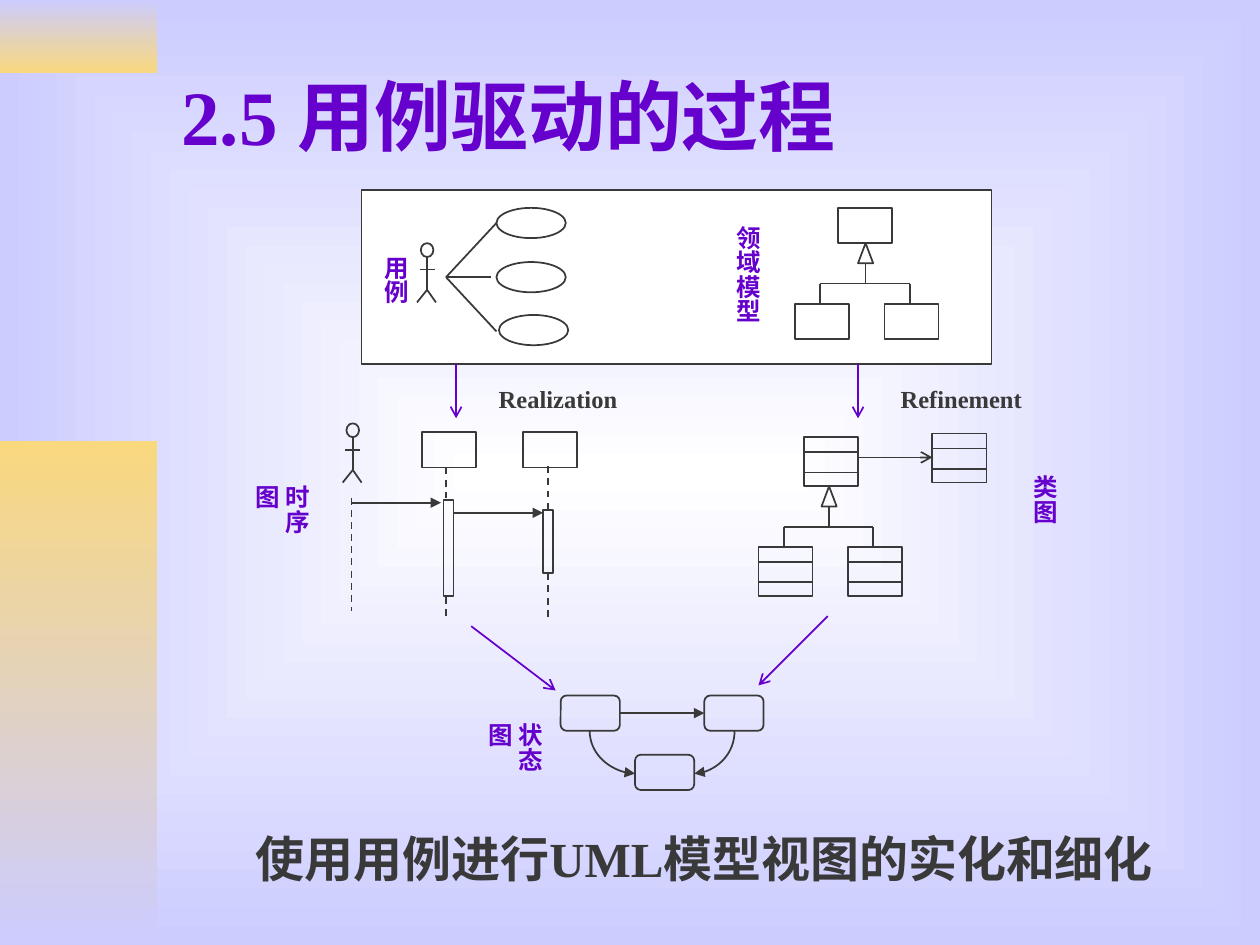
from lxml import etree
from pptx import Presentation
from pptx.dml.color import RGBColor
from pptx.enum.dml import MSO_LINE
from pptx.enum.shapes import MSO_CONNECTOR, MSO_SHAPE
from pptx.enum.text import MSO_ANCHOR, MSO_AUTO_SIZE, PP_ALIGN
from pptx.oxml.ns import qn
from pptx.util import Inches, Pt

RECT = MSO_SHAPE.RECTANGLE
OVAL = MSO_SHAPE.OVAL
ROUND = MSO_SHAPE.ROUNDED_RECTANGLE
PEAK = MSO_SHAPE.ISOSCELES_TRIANGLE
STRAIGHT = MSO_CONNECTOR.STRAIGHT
DASH = MSO_LINE.DASH
FIT = MSO_AUTO_SIZE.SHAPE_TO_FIT_TEXT
NONE = MSO_AUTO_SIZE.NONE

theme = {
    "ink": RGBColor.from_string("393939"),
    "accent": RGBColor.from_string("6600CC"),
    "white": RGBColor.from_string("FFFFFF"),
    "lilac": RGBColor.from_string("CCCCFF"),
    "gold": RGBColor.from_string("F9D87E"),
    "font": "Times New Roman",
    "title": Pt(44),
    "body": Pt(28),
    "label": Pt(14),
    "line": Pt(1),
}

deck = Presentation()
deck.slide_width = Inches(10)
deck.slide_height = Inches(7.5)
slide = deck.slides.add_slide(deck.slide_layouts[5])
shapes = slide.shapes


def box(kind, x, y, w, h):
    shape = shapes.add_shape(kind, Inches(x), Inches(y), Inches(w), Inches(h))
    shape.shadow.inherit = False
    shape.fill.background()
    shape.line.color.rgb = theme["ink"]
    shape.line.width = theme["line"]
    return shape


def line(x1, y1, x2, y2, head=None, color="ink", dash=None):
    link = shapes.add_connector(STRAIGHT, Inches(x1), Inches(y1), Inches(x2), Inches(y2))
    link.line.color.rgb = theme[color]
    link.line.width = theme["line"]
    if dash:
        link.line.dash_style = dash
    if head:
        etree.SubElement(link.line._get_or_add_ln(), qn("a:tailEnd"), type=head)
    etree.SubElement(link._element.spPr, qn("a:effectLst"))
    return link


back = slide.background.fill
back.gradient()
for stop, color in zip(back.gradient_stops, ("white", "lilac")):
    stop.color.rgb = theme[color]
grad = slide.element.find(".//" + qn("a:gradFill"))
ray = etree.Element(qn("a:path"), path="rect")
etree.SubElement(ray, qn("a:fillToRect"), l="50000", t="50000", r="50000", b="50000")
grad.replace(grad.find(qn("a:lin")), ray)

for y, h, colors in ((0, 0.58, ("lilac", "gold")), (3.5, 4, ("gold", "lilac"))):
    band = box(RECT, 0, y, 1.25, h)
    band.line.fill.background()
    band.fill.gradient()
    band.fill.gradient_angle = 270
    for stop, color in zip(band.fill.gradient_stops, colors):
        stop.color.rgb = theme[color]

title = shapes.title
title.left, title.top = Inches(1.34), Inches(0.25)
title.width, title.height = Inches(8.5), Inches(1.32)
title.text_frame.text = "2.5 用例驱动的过程"
title.text_frame.vertical_anchor = MSO_ANCHOR.MIDDLE
head = title.text_frame.paragraphs[0]
head.alignment = PP_ALIGN.LEFT
head.font.name = theme["font"]
head.font.size = theme["title"]
head.font.bold = True
head.font.color.rgb = theme["accent"]

panel = box(RECT, 2.87, 1.51, 5, 1.38)
panel.fill.solid()
panel.fill.fore_color.rgb = theme["white"]

for x, y in ((6.65, 1.65), (6.31, 2.41), (7.02, 2.41), (3.35, 3.43), (4.15, 3.43)):
    box(RECT, x, y, 0.43, 0.28)

for x, y in ((6.51, 2.25), (6.22, 4.18)):
    line(x, y, x, y + 0.16)
    line(x + 0.71, y, x + 0.71, y + 0.16)
    line(x, y, x + 0.71, y)
    box(PEAK, x + 0.3, y - 0.32, 0.12, 0.16)
    line(x + 0.36, y - 0.16, x + 0.36, y)

for x, y in ((3.39, 1.93), (2.8, 3.36)):
    box(OVAL, x - 0.05, y, 0.1, 0.11)
    line(x - 0.06, y + 0.21, x + 0.06, y + 0.21)
    line(x, y + 0.11, x, y + 0.37)
    line(x, y + 0.37, x - 0.08, y + 0.47)
    line(x, y + 0.37, x + 0.07, y + 0.47)

for x, y, end, mid in ((3.94, 1.65, 3.94, 1.77), (3.94, 2.08, 3.9, 2.2), (3.96, 2.5, 3.94, 2.63)):
    box(OVAL, x, y, 0.55, 0.24)
    line(3.54, 2.2, end, mid)

for x, top, end in ((2.79, 3.95, 4.85), (3.54, 3.71, 3.95), (3.54, 4.74, 4.9),
                    (4.35, 3.7, 4.05), (4.35, 4.55, 4.91)):
    line(x, top, x, end, dash=DASH)
box(RECT, 3.52, 3.97, 0.08, 0.76)
box(RECT, 4.31, 4.05, 0.08, 0.5)
line(2.79, 3.99, 3.5, 3.99, "triangle")
line(3.6, 4.07, 4.31, 4.07, "triangle")

for x, y in ((6.02, 4.34), (6.73, 4.34), (6.38, 3.47), (7.4, 3.44)):
    box(RECT, x, y, 0.43, 0.39)
    for gap in (0.12, 0.28):
        line(x, y + gap, x + 0.43, y + gap)
line(6.81, 3.63, 7.4, 3.63, "arrow")

for x, y in ((4.45, 5.52), (5.59, 5.52), (5.04, 5.99)):
    box(ROUND, x, y, 0.47, 0.28)
line(4.92, 5.66, 5.59, 5.66, "triangle")
for x, y, w, h, turn, flip in ((4.69, 5.79, 0.34, 0.36, 270, "1"), (5.5, 5.81, 0.34, 0.32, 90, "0")):
    curve = line(x, y, x + w, y + h, "triangle")
    props = curve._element.spPr
    props.find(qn("a:prstGeom")).set("prst", "curvedConnector2")
    props.find(qn("a:xfrm")).set("rot", str(turn * 60000))
    props.find(qn("a:xfrm")).set("flipH", flip)

for ends in ((3.62, 2.89, 3.62, 3.32), (6.81, 2.89, 6.81, 3.32),
             (3.74, 4.97, 4.41, 5.48), (6.57, 4.89, 6.02, 5.44)):
    line(*ends, "arrow", "accent")

for text, x, y, w, h, size, color, tall in (
    ("用例", 2.88, 1.93, 0.43, 0.63, "label", "accent", True),
    ("领域模型", 5.67, 1.69, 0.43, 1, "label", "accent", True),
    ("时序图", 2.09, 3.75, 0.43, 0.71, "label", "accent", True),
    ("类图", 8.03, 3.67, 0.43, 0.71, "label", "accent", True),
    ("状态图", 3.94, 5.64, 0.43, 0.71, "label", "accent", True),
    ("Realization", 3.86, 3, 1.38, 0.34, "label", "ink", False),
    ("Refinement", 7.05, 3, 1.26, 0.34, "label", "ink", False),
    ("使用用例进行UML模型视图的实化和细化", 1.34, 6.58, 8.5, 0.55, "body", "ink", False),
):
    frame = shapes.add_textbox(Inches(x), Inches(y), Inches(w), Inches(h)).text_frame
    frame.word_wrap = True
    frame.auto_size = FIT if size == "label" else NONE
    side, edge = (0.05, 0.1) if tall else (0.1, 0.05)
    frame.margin_left = frame.margin_right = Inches(side)
    frame.margin_top = frame.margin_bottom = Inches(edge)
    if tall:
        frame._txBody.bodyPr.set("vert", "eaVert")
    frame.text = text
    para = frame.paragraphs[0]
    if size == "body":
        para.alignment = PP_ALIGN.CENTER
        para.line_spacing = 0.9
    para.font.name = theme["font"]
    para.font.size = theme[size]
    para.font.bold = True
    para.font.color.rgb = theme[color]

deck.save("out.pptx")
